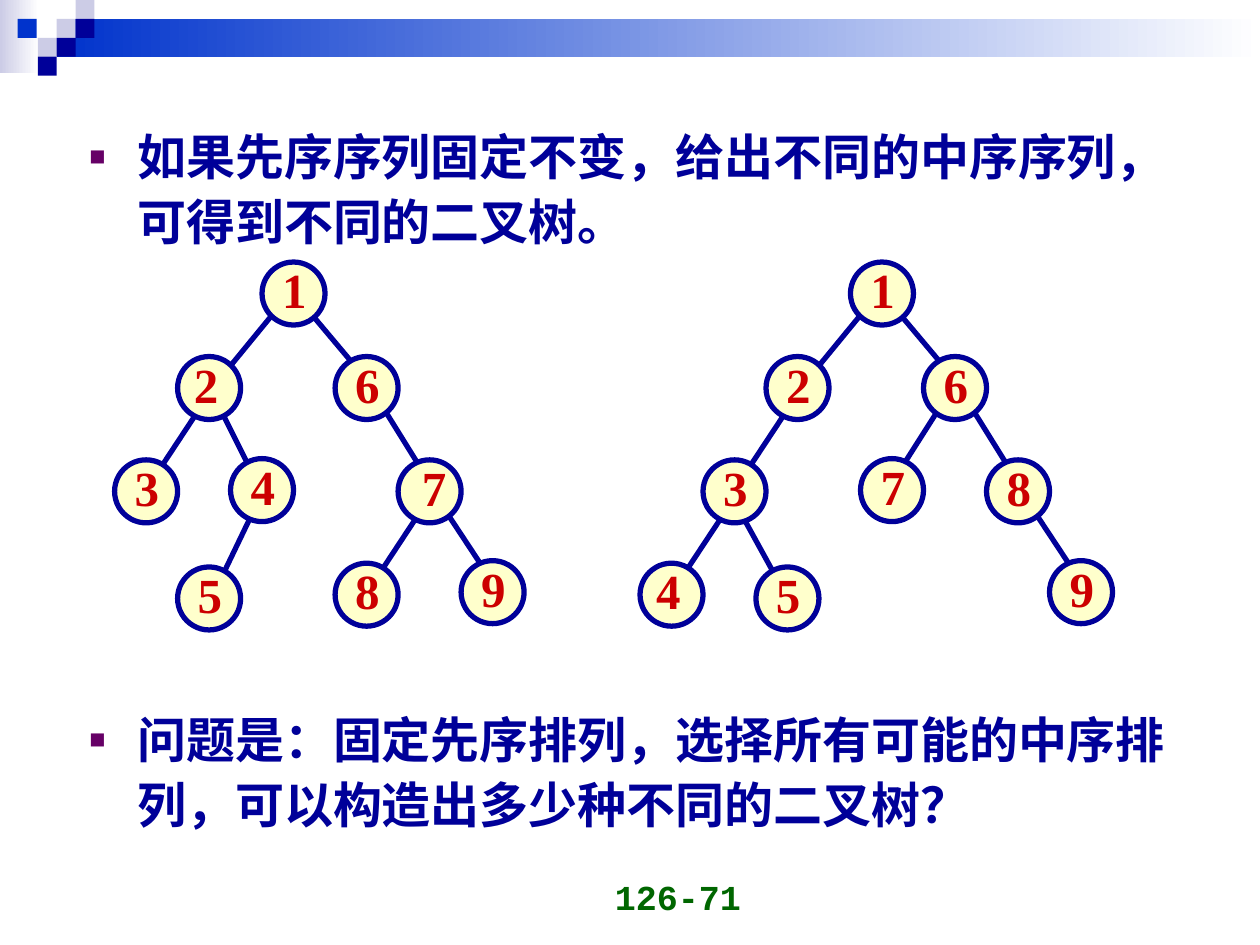
from lxml import etree
from pptx import Presentation
from pptx.dml.color import RGBColor
from pptx.enum import lang, shapes, text
from pptx.oxml import ns
from pptx.util import Inches, Pt

COLORS = {
    "navy": "000099", "blue": "0033CC", "lilac": "CCCCE6", "white": "FFFFFF",
    "cream": "FFFFCC", "red": "CC0000", "green": "006600", "purple": "660066",
}
FORMATS = {
    "body": {"name": "Arial", "size": Pt(28), "bold": True,
             "language_id": lang.MSO_LANGUAGE_ID.SIMPLIFIED_CHINESE},
    "node": {"name": "Times New Roman", "size": Pt(28), "bold": True},
    "number": {"name": "Courier New", "size": Pt(20), "bold": True},
}
BANDS = [  # left, top, width, height, start colour
    (0, 0, 0.31, 0.58, "lilac"),
    (0.45, 0.15, 9.55, 0.3, "blue"),
]
SQUARE = 0.15
SQUARES = [
    (0.45, 0.15, "lilac"), (0.6, 0, "lilac"), (0.6, 0.15, "navy"),
    (0.3, 0.3, "lilac"), (0.14, 0.15, "blue"), (0.45, 0.3, "navy"),
    (0.3, 0.45, "navy"),
]
NODE_SIZE = 0.5
LABEL_SIZE = (0.39, 0.57)
LABEL_DX, LABEL_DY = 0.06, -0.07

# Both trees share these spots and edges; the second one is shifted right.
TREE_SHIFT = 4.67
SHARED_SPOTS = [(2.08, 2.08), (1.41, 2.83), (2.66, 2.83),
                (0.91, 3.65), (3.16, 3.65), (3.66, 4.45)]
SHARED_EDGES = [
    (2.16, 2.5, 1.75, 3), (2.41, 2.42, 2.83, 2.92), (1.58, 3.25, 1.25, 3.75),
    (3, 3.17, 3.41, 3.83), (3.5, 4, 3.83, 4.5),
]
TREES = [
    {
        "shift": 0,
        "shared_values": "126379",
        "own_nodes": {"4": (1.83, 3.64), "5": (1.41, 4.5), "8": (2.66, 4.47)},
        "own_edges": [(1.75, 3.25, 2, 3.75), (2, 4.08, 1.75, 4.6),
                      (3.33, 4.07, 3, 4.57)],
        "label_dx": {"2": 0.03, "7": 0.09},
    },
    {
        "shift": TREE_SHIFT,
        "shared_values": "126389",
        "own_nodes": {"7": (2.16, 3.64), "5": (1.33, 4.5), "4": (0.41, 4.47)},
        "own_edges": [(2.83, 3.17, 2.41, 3.83), (1.17, 4, 1.5, 4.6),
                      (1.08, 4.07, 0.75, 4.57)],
        "label_dx": {"4": 0.03},
    },
]
BULLETS = [  # wording, points of space before
    ("如果先序序列固定不变，给出不同的中序序列，可得到不同的二叉树。", 0),
    ("问题是：固定先序排列，选择所有可能的中序排列，可以构造出多少种不同的二叉树？", 259),
]


def rgb(name):
    return RGBColor.from_string(COLORS[name])


class TreePage:
    def __init__(self, page):
        self.page = page

    def style(self, font, kind, color):
        for key, value in FORMATS[kind].items():
            setattr(font, key, value)
        font.color.rgb = rgb(color)

    def shape(self, kind, left, top, width, height):
        item = self.page.shapes.add_shape(
            kind, Inches(left), Inches(top), Inches(width), Inches(height))
        item.shadow.inherit = False
        return item

    def square(self, left, top, color):
        item = self.shape(shapes.MSO_SHAPE.RECTANGLE, left, top, SQUARE, SQUARE)
        item.fill.solid()
        item.fill.fore_color.rgb = rgb(color)
        item.line.fill.background()

    def band(self, left, top, width, height, color):
        """Draw a rectangle that fades to white on the right."""
        item = self.shape(shapes.MSO_SHAPE.RECTANGLE, left, top, width, height)
        item.fill.gradient()
        item.fill.gradient_angle = 0
        for stop, name in zip(item.fill.gradient_stops, (color, "white")):
            stop.color.rgb = rgb(name)
        item.line.fill.background()

    def edge(self, x1, y1, x2, y2):
        line = self.page.shapes.add_connector(
            shapes.MSO_CONNECTOR.STRAIGHT,
            Inches(x1), Inches(y1), Inches(x2), Inches(y2))
        line.line.color.rgb = rgb("navy")
        line.line.width = Pt(3)
        etree.SubElement(line._element.spPr, ns.qn("a:effectLst"))

    def label(self, wording, left, top, width, height, kind, color,
              align, anchor, wrap):
        box = self.page.shapes.add_textbox(
            Inches(left), Inches(top), Inches(width), Inches(height))
        frame = box.text_frame
        frame.word_wrap = wrap
        frame.vertical_anchor = anchor
        para = frame.paragraphs[0]
        para.alignment = align
        span = para.add_run()
        span.text = wording
        self.style(span.font, kind, color)

    def node(self, value, left, top, label_dx):
        disc = self.shape(shapes.MSO_SHAPE.OVAL, left, top, NODE_SIZE, NODE_SIZE)
        disc.fill.solid()
        disc.fill.fore_color.rgb = rgb("cream")
        disc.line.color.rgb = rgb("navy")
        disc.line.width = Pt(3)
        self.label(value, left + label_dx, top + LABEL_DY, *LABEL_SIZE,
                   "node", "red", text.PP_ALIGN.CENTER,
                   text.MSO_ANCHOR.MIDDLE, False)

    def tree(self, tree):
        shift = tree["shift"]
        for x1, y1, x2, y2 in SHARED_EDGES + tree["own_edges"]:
            self.edge(x1 + shift, y1, x2 + shift, y2)
        nodes = dict(zip(tree["shared_values"], SHARED_SPOTS))
        nodes.update(tree["own_nodes"])
        for value, (left, top) in nodes.items():
            self.node(value, left + shift, top,
                      tree["label_dx"].get(value, LABEL_DX))

    def bullet(self, para):
        props = para._p.get_or_add_pPr()
        props.set("marL", str(Inches(0.38)))
        props.set("indent", str(-Inches(0.38)))
        color = etree.SubElement(props, ns.qn("a:buClr"))
        etree.SubElement(color, ns.qn("a:srgbClr"), val=COLORS["purple"])
        etree.SubElement(props, ns.qn("a:buSzPct"), val="55000")
        etree.SubElement(props, ns.qn("a:buFont"), typeface="Arial")
        etree.SubElement(props, ns.qn("a:buChar"), char="■")

    def body(self, bullets):
        box = self.page.placeholders[1]
        place = {"left": 0.61, "top": 0.91, "width": 9, "height": 6.15}
        for key, value in place.items():
            setattr(box, key, Inches(value))
        frame = box.text_frame
        frame.auto_size = text.MSO_AUTO_SIZE.NONE
        frame.word_wrap = True
        for index, (wording, gap) in enumerate(bullets):
            para = frame.add_paragraph() if index else frame.paragraphs[0]
            self.bullet(para)
            para.line_spacing = 1.1
            para.space_before = Pt(gap)
            span = para.add_run()
            span.text = wording
            self.style(span.font, "body", "navy")


def main():
    deck = Presentation()
    deck.slide_width, deck.slide_height = Inches(10), Inches(7.5)
    page = deck.slides.add_slide(deck.slide_layouts[1])
    title = page.shapes.title._element
    title.getparent().remove(title)

    sheet = TreePage(page)
    for band in BANDS:
        sheet.band(*band)
    for square in SQUARES:
        sheet.square(*square)
    sheet.label("126-71", 3.65, 6.83, 2.33, 0.5, "number", "green",
                text.PP_ALIGN.RIGHT, text.MSO_ANCHOR.BOTTOM, True)
    for tree in TREES:
        sheet.tree(tree)
    sheet.body(BULLETS)
    deck.save("out.pptx")


if __name__ == "__main__":
    main()
